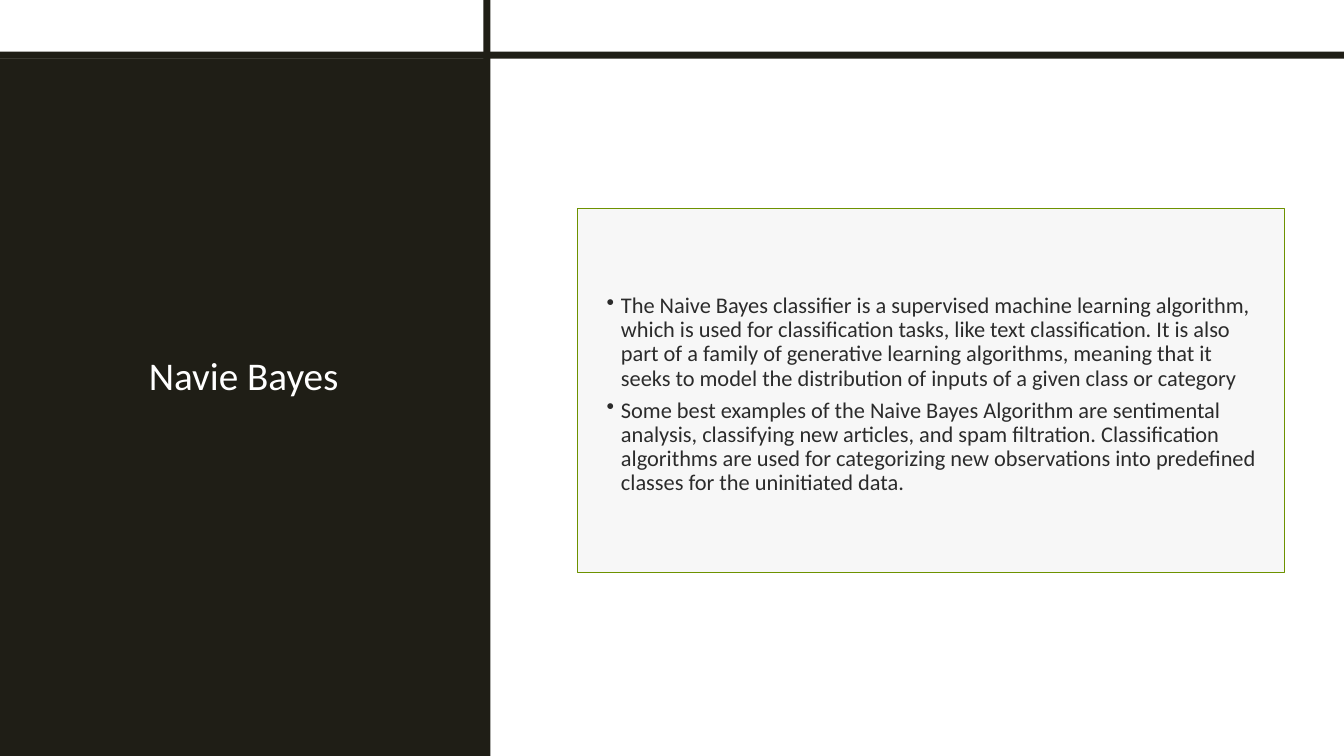
from dataclasses import dataclass

from lxml import etree
from pptx import Presentation
from pptx import util as u
from pptx.dml.color import RGBColor
from pptx.enum import shapes, text
from pptx.oxml.ns import qn

WIDE, HIGH, BAR = 33.87, 19.05, 0.18
FONT = "Calibri"
HUES = {
    "dark": "1F1E16",
    "white": "FFFFFF",
    "black": "000000",
    "grey": "D9D9D9",
    "green": "6D9200",
}
POINTS = [
    "The Naive Bayes classifier is a supervised machine learning algorithm, "
    "which is used for classification tasks, like text classification. It is also "
    "part of a family of generative learning algorithms, meaning that it seeks to "
    "model the distribution of inputs of a given class or category",
    "Some best examples of the Naive Bayes Algorithm are sentimental analysis, "
    "classifying new articles, and spam filtration. Classification algorithms are "
    "used for categorizing new observations into predefined classes for the "
    "uninitiated data.",
]


@dataclass
class Box:
    """A filled rectangle in centimetres, with alpha in percent."""
    left: float
    top: float
    width: float
    height: float
    fill: str
    line: str | None = None
    alpha: int = 100


PANEL = Box(0, 1.47, 12.34, 17.58, "dark")
BARS = [
    Box(12.18, 0, BAR, HIGH, "dark"),
    Box(0, 1.3, WIDE, BAR, "dark"),
]
FRAME = Box(14.55, 5.26, 17.83, 9.17, "grey", "green", 20)


def hue(name: str) -> RGBColor:
    """Look up a colour by name."""
    return RGBColor.from_string(HUES[name])


def draw(slide, box: Box) -> None:
    """Draw one rectangle."""
    rect = slide.shapes.add_shape(
        shapes.MSO_SHAPE.RECTANGLE,
        *map(u.Cm, (box.left, box.top, box.width, box.height)))
    rect.shadow.inherit = False
    rect.fill.solid()
    rect.fill.fore_color.rgb = hue(box.fill)
    if box.alpha < 100:
        tint = rect.fill._xPr.find(".//" + qn("a:srgbClr"))
        etree.SubElement(tint, qn("a:alpha"), val=str(box.alpha * 1000))
    if box.line:
        rect.line.color.rgb = hue(box.line)
        rect.line.width = u.Pt(1)
    else:
        rect.line.fill.background()


def style(para, size: int, color: str) -> None:
    """Set the font and line spacing of a paragraph."""
    para.font.name = FONT
    para.font.size = u.Pt(size)
    para.font.color.rgb = hue(color)
    para.line_spacing = 0.9


def head(slide, words: str) -> None:
    """Place the title on top of the shapes drawn so far."""
    title = slide.shapes.title
    slide.shapes._spTree.append(title._element)
    title.left, title.top = u.Cm(1.68), u.Cm(2.13)
    title.width, title.height = u.Cm(8.92), u.Cm(14.78)
    frame = title.text_frame
    frame.text = words
    frame.word_wrap = True
    frame.vertical_anchor = text.MSO_ANCHOR.MIDDLE
    para = frame.paragraphs[0]
    para.alignment = text.PP_ALIGN.CENTER
    style(para, 28, "white")


def body(slide, points: list[str]) -> None:
    """Write the bulleted text."""
    area = slide.shapes.add_textbox(*map(u.Cm, (15.04, 7.29, 16.92, 6.99)))
    frame = area.text_frame
    frame.word_wrap = True
    frame.text = "\n".join(points)
    for para in frame.paragraphs:
        style(para, 16, "black")
        para.space_before = u.Pt(5.7)
        props = para._p.get_or_add_pPr()
        props.set("marL", str(u.Cm(0.36)))
        props.set("indent", str(u.Cm(-0.36)))
        mark = etree.Element(qn("a:buChar"), char="•")
        props.find(qn("a:defRPr")).addprevious(mark)


def main() -> None:
    """Build and save the slide."""
    deck = Presentation()
    deck.slide_width, deck.slide_height = u.Cm(WIDE), u.Cm(HIGH)
    slide = deck.slides.add_slide(deck.slide_layouts[5])
    draw(slide, PANEL)
    head(slide, "Navie Bayes")
    for bar in BARS:
        draw(slide, bar)
    body(slide, POINTS)
    draw(slide, FRAME)
    deck.save("out.pptx")


if __name__ == "__main__":
    main()
